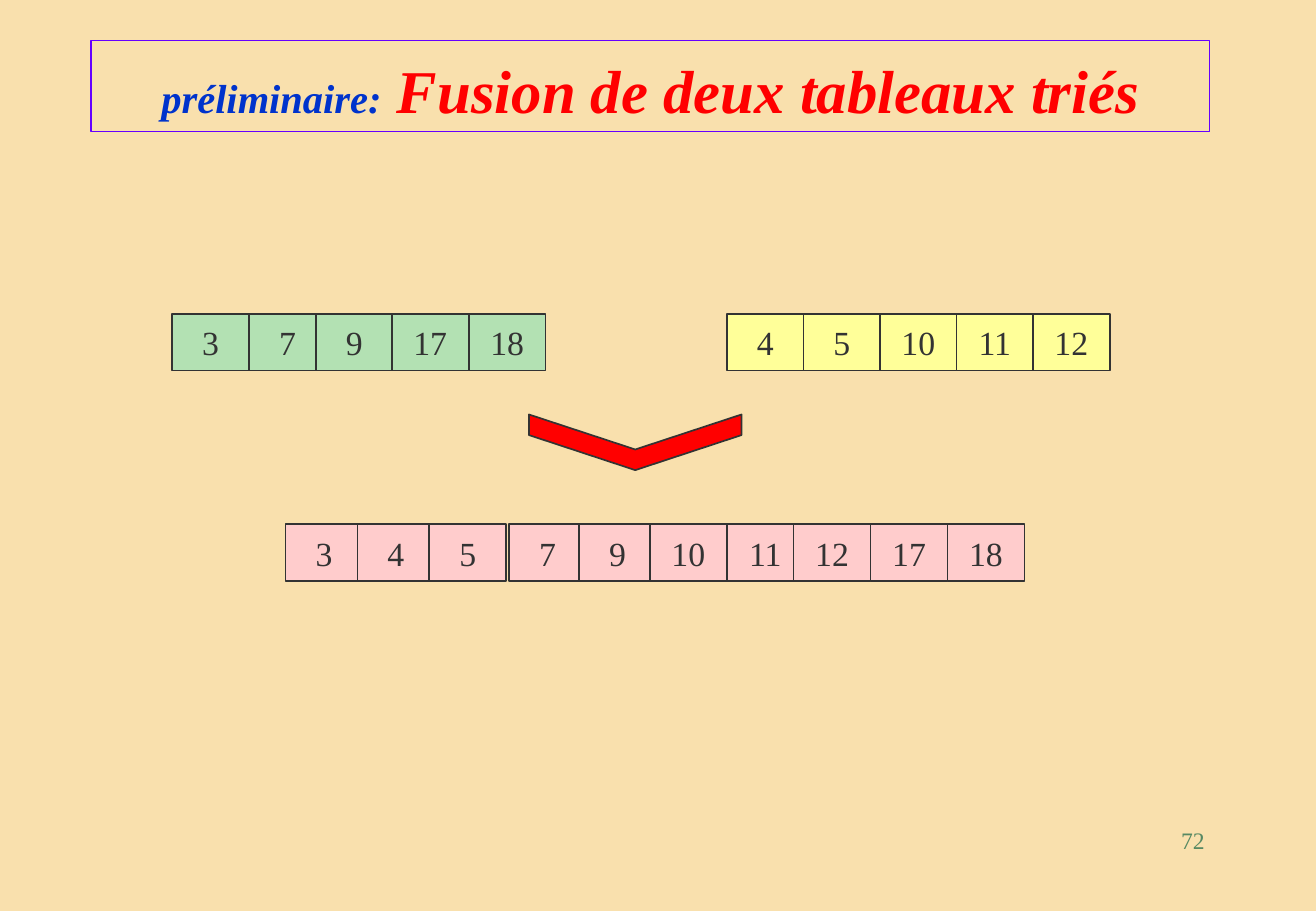
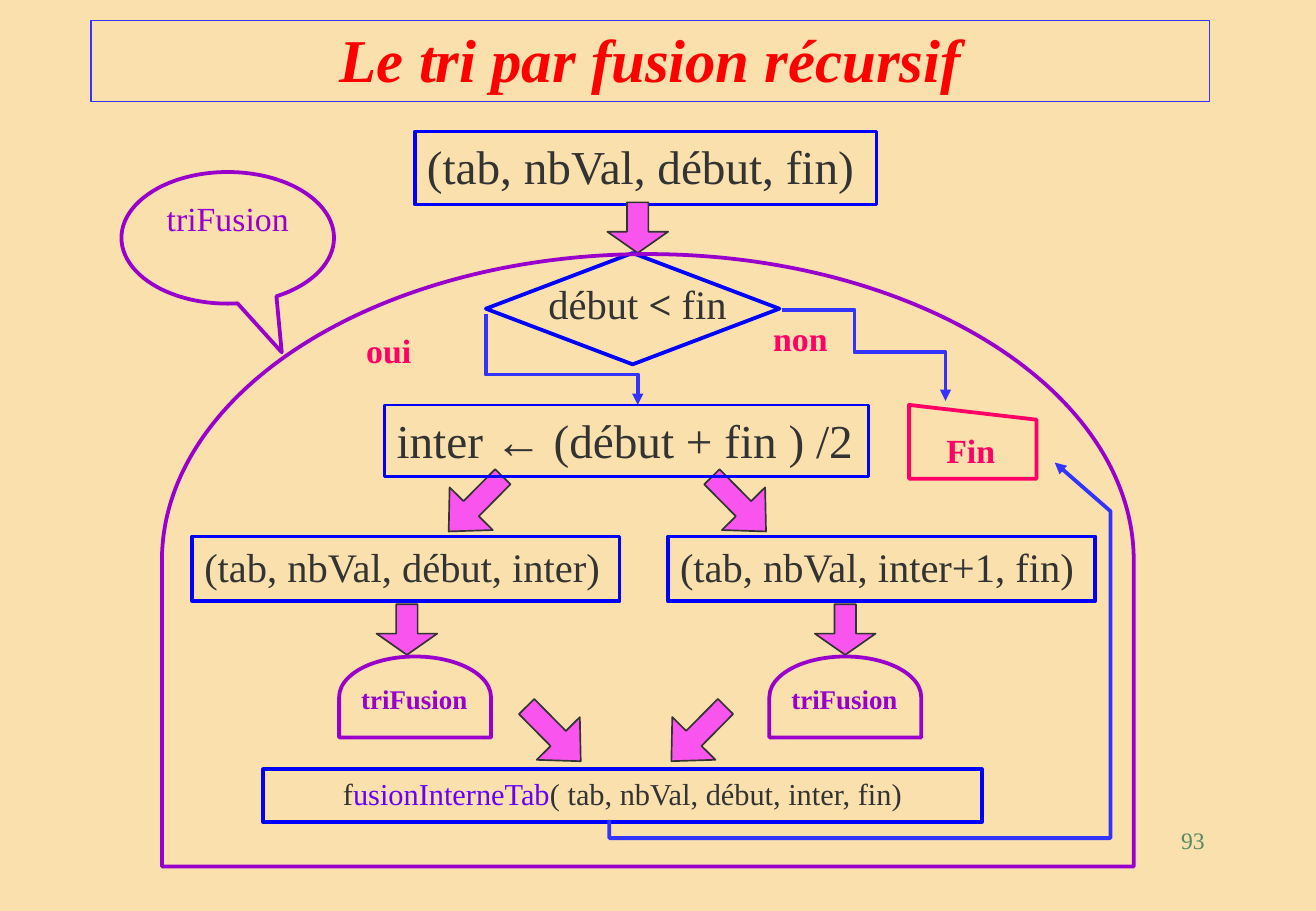
from dataclasses import dataclass

from lxml import etree
from pptx import Presentation
from pptx import util as u
from pptx.dml.color import RGBColor
from pptx.enum import shapes, text
from pptx.oxml.ns import qn

CELL = u.Inches(1) / 12
COLUMNS, ROWS = 130, 90
FONT = "Times New Roman"
COLOURS = {
    "paper": "F9E0AD", "ink": "333333", "red": "FF0000", "title_blue": "0033CC",
    "violet": "6600FF", "blue": "0000FF", "flow": "3333FF", "purple": "9900CC",
    "rose": "FF0066", "magenta": "FA54EE", "page": "578963",
    "green": "B3E1B3", "yellow": "FFFF99", "pink": "FFCCCC",
}
SHAPE = shapes.MSO_SHAPE
CENTRE = text.PP_ALIGN.CENTER
LEAN_LEFT, LEAN_RIGHT = 44.7, 315.3


@dataclass
class Box:
    """Area measured in grid columns and rows."""
    left: float
    top: float
    width: float
    height: float

    def at(self, left, top, width, height):
        """Return an area offset from this one's corner."""
        return Box(self.left + left, self.top + top, width, height)

    def emu(self):
        """Return left, top, width and height as lengths."""
        return [u.Emu(round(value * CELL))
                for value in (self.left, self.top, self.width, self.height)]


PAGE = Box(0, 0, COLUMNS, ROWS)


def rgb(name):
    """Look up a colour by name."""
    return RGBColor.from_string(COLOURS[name])


def write(frame, runs, size=20, colour="ink", bold=False, italic=False,
          align=text.PP_ALIGN.LEFT, anchor=text.MSO_ANCHOR.TOP, wrap=True, spacing=None):
    """Fill a frame with a string or with (text, overrides) runs."""
    frame.word_wrap = wrap
    frame.auto_size = text.MSO_AUTO_SIZE.NONE
    frame.vertical_anchor = anchor
    paragraph = frame.paragraphs[0]
    paragraph.alignment = align
    if spacing:
        paragraph.line_spacing = spacing
    for content, changes in [(runs, {})] if isinstance(runs, str) else runs:
        style = {"size": size, "colour": colour, "bold": bold, **changes}
        run = paragraph.add_run()
        run.text = content
        run.font.name = FONT
        run.font.size = u.Pt(style["size"])
        run.font.bold = style["bold"]
        run.font.italic = italic
        run.font.color.rgb = rgb(style["colour"])


def label(slide, box, runs, **style):
    """Add a text box."""
    write(slide.shapes.add_textbox(*box.emu()).text_frame, runs, **style)


def paint(shape, line, width, fill=None):
    """Set outline and fill, without shadow."""
    shape.shadow.inherit = False
    shape.line.color.rgb = rgb(line)
    shape.line.width = u.Pt(width)
    if fill:
        shape.fill.solid()
        shape.fill.fore_color.rgb = rgb(fill)
    else:
        shape.fill.background()


def draw(slide, kind, box, line="blue", width=2.25, fill=None, angle=0, adjust=(),
         runs=None, **style):
    """Add a preset shape, with text if any."""
    shape = slide.shapes.add_shape(kind, *box.emu())
    paint(shape, line, width, fill)
    shape.rotation = angle
    for index, value in enumerate(adjust):
        shape.adjustments[index] = value
    if runs:
        write(shape.text_frame, runs, **style)
    return shape


def down_arrow(slide, box, angle=0):
    """Add a block arrow; leaning ones have longer heads."""
    draw(slide, SHAPE.DOWN_ARROW, box, "ink", 1, "magenta", angle,
         (0.354, 0.526 if angle else 0.42))


def dome(slide, box):
    """Add a round-topped block that fills the box."""
    shift = (box.width - box.height) / 2
    upright = box.at(shift, -shift, box.height, box.width)
    draw(slide, SHAPE.FLOWCHART_DELAY, upright, "purple", angle=270)


def route(slide, box, points):
    """Draw a bent line ending in an arrowhead."""
    path = [(round((box.left + x) * CELL), round((box.top + y) * CELL)) for x, y in points]
    builder = slide.shapes.build_freeform(*path[0])
    builder.add_line_segments(path[1:], close=False)
    shape = builder.convert_to_shape()
    paint(shape, "flow", 2.25)
    etree.SubElement(shape.line._get_or_add_ln(), qn("a:tailEnd"), type="triangle")


def new_slide(presentation, title_box, title, line, number):
    """Add a slide with its framed title and page number."""
    slide = presentation.slides.add_slide(presentation.slide_layouts[5])
    heading = slide.shapes.title
    heading.left, heading.top, heading.width, heading.height = title_box.emu()
    heading.line.color.rgb = rgb(line)
    heading.line.width = u.Pt(0.75)
    write(heading.text_frame, title, size=36, colour="red", bold=True, italic=True,
          align=CENTRE, anchor=text.MSO_ANCHOR.BOTTOM)
    label(slide, PAGE.at(93.1, 82, 27.1, 6), number, size=14, colour="page",
          align=text.PP_ALIGN.RIGHT, spacing=0.6)
    return slide


def array_row(slide, box, values, offsets, colour):
    """Draw an array as cells at the given offsets."""
    for value, offset in zip(values, offsets):
        draw(slide, SHAPE.RECTANGLE, box.at(offset, 0, 7.6, box.height), "ink", 1, colour,
             runs=str(value), align=CENTRE, anchor=text.MSO_ANCHOR.MIDDLE, wrap=False)


def decision(slide, box):
    """Draw the test, its two exits and the end block."""
    draw(slide, SHAPE.FLOWCHART_DECISION, box.at(0, 0, 29, 11))
    label(slide, box.at(5, 2, 20, 6),
          [("début ", {}), ("< ", {"bold": True}), ("fin", {})], size=24, wrap=False)
    end = draw(slide, SHAPE.FLOWCHART_MANUAL_INPUT, box.at(41.8, 15, 12.6, 7.3), "rose")
    end._element.spPr.find(qn("a:xfrm")).set("flipH", "1")
    for word, left, top in (("oui", -13, 7), ("non", 27.2, 5.8), ("Fin", 44.3, 16.9)):
        label(slide, box.at(left, top, 8, 5.2), word, colour="rose", bold=True)
    route(slide, box, [(0, 6), (0, 12), (15, 12), (15, 15)])
    route(slide, box, [(29.2, 5.6), (36.4, 5.6), (36.4, 9.8), (45.4, 9.8), (45.4, 14.6)])


def branch(slide, box, arguments, entry, stem, call, leave, lean):
    """Draw one recursive call with its arrows at the given columns."""
    down_arrow(slide, box.at(entry, -7, 6, 7.6), lean)
    draw(slide, SHAPE.RECTANGLE, box, runs=arguments, size=24, wrap=False)
    down_arrow(slide, box.at(stem, 6.7, 6, 5))
    block = box.at(call, 11.85, 15, 8)
    dome(slide, block)
    label(slide, block.at(1, 2, 14, 4.4), "triFusion", size=16, colour="purple", bold=True)
    down_arrow(slide, box.at(leave, 15.7, 6, 7.6), LEAN_LEFT + LEAN_RIGHT - lean)


def merge_step(slide, box):
    """Draw the final merge and its way back to the end."""
    draw(slide, SHAPE.RECTANGLE, box, size=18, align=CENTRE, runs=[
        ("f", {}), ("usionInterneTab", {"colour": "violet"}),
        ("( tab, nbVal, début, inter, fin)", {})])
    route(slide, box, [(34.2, 5), (34.2, 6.8), (83.7, 6.8), (83.7, -25.5), (78.2, -30.3)])


def merge_slide(presentation):
    """Show two sorted arrays becoming one."""
    title = [("préliminaire:", {"size": 24, "colour": "title_blue"}),
             (" Fusion de deux tableaux triés", {})]
    slide = new_slide(presentation, PAGE.at(9, 4, 110.5, 9), title, "violet", "72")
    array_row(slide, PAGE.at(17, 31, 36.9, 5.6), [3, 7, 9, 17, 18],
              [0, 7.6, 14.2, 21.7, 29.3], "green")
    array_row(slide, PAGE.at(71.8, 31, 37.8, 5.6), [4, 5, 10, 11, 12],
              [7.56 * index for index in range(5)], "yellow")
    array_row(slide, PAGE.at(28.2, 51.8, 73, 5.6), [3, 4, 5, 7, 9, 10, 11, 12, 17, 18],
              [0, 7.1, 14.2, 22.1, 29, 36, 43.6, 50.2, 57.8, 65.4], "pink")
    draw(slide, SHAPE.CHEVRON, PAGE.at(60, 33.2, 5.5, 21), "ink", 1, "red", 90, (0.629,))


def recursion_slide(presentation):
    """Show the recursive merge sort as a flow chart."""
    slide = new_slide(presentation, PAGE.at(9, 2, 110.5, 8), "Le tri par fusion récursif",
                      "flow", "93")
    draw(slide, SHAPE.RECTANGLE, PAGE.at(41, 13, 45.6, 7.2),
         runs="(tab, nbVal, début, fin)", size=28)
    down_arrow(slide, PAGE.at(60, 20, 6, 5))
    decision(slide, PAGE.at(48, 25, 29, 11))
    branch(slide, PAGE.at(19, 53, 42.2, 6.4), "(tab, nbVal, début, inter)",
           entry=25, stem=18.2, call=14.5, leave=32.7, lean=LEAN_LEFT)
    branch(slide, PAGE.at(66, 53, 42.2, 6.4), "(tab, nbVal, inter+1, fin)",
           entry=4, stem=14.5, call=10, leave=0, lean=LEAN_RIGHT)
    draw(slide, SHAPE.RECTANGLE, PAGE.at(38, 40, 47.8, 7.1), width=1.5,
         runs="inter ← (début + fin ) /2", size=28)
    dome(slide, PAGE.at(16, 25.1, 96, 60.5))
    draw(slide, SHAPE.OVAL_CALLOUT, PAGE.at(12, 17, 21, 13), "purple",
         adjust=(0.254, 0.87), runs="triFusion", colour="purple", align=CENTRE)
    merge_step(slide, PAGE.at(26, 76, 71, 5.2))


def main():
    """Build and save the presentation."""
    presentation = Presentation()
    presentation.slide_width, presentation.slide_height = PAGE.emu()[2:]
    background = presentation.slide_master.background.fill
    background.solid()
    background.fore_color.rgb = rgb("paper")
    merge_slide(presentation)
    recursion_slide(presentation)
    presentation.save("out.pptx")


if __name__ == "__main__":
    main()
